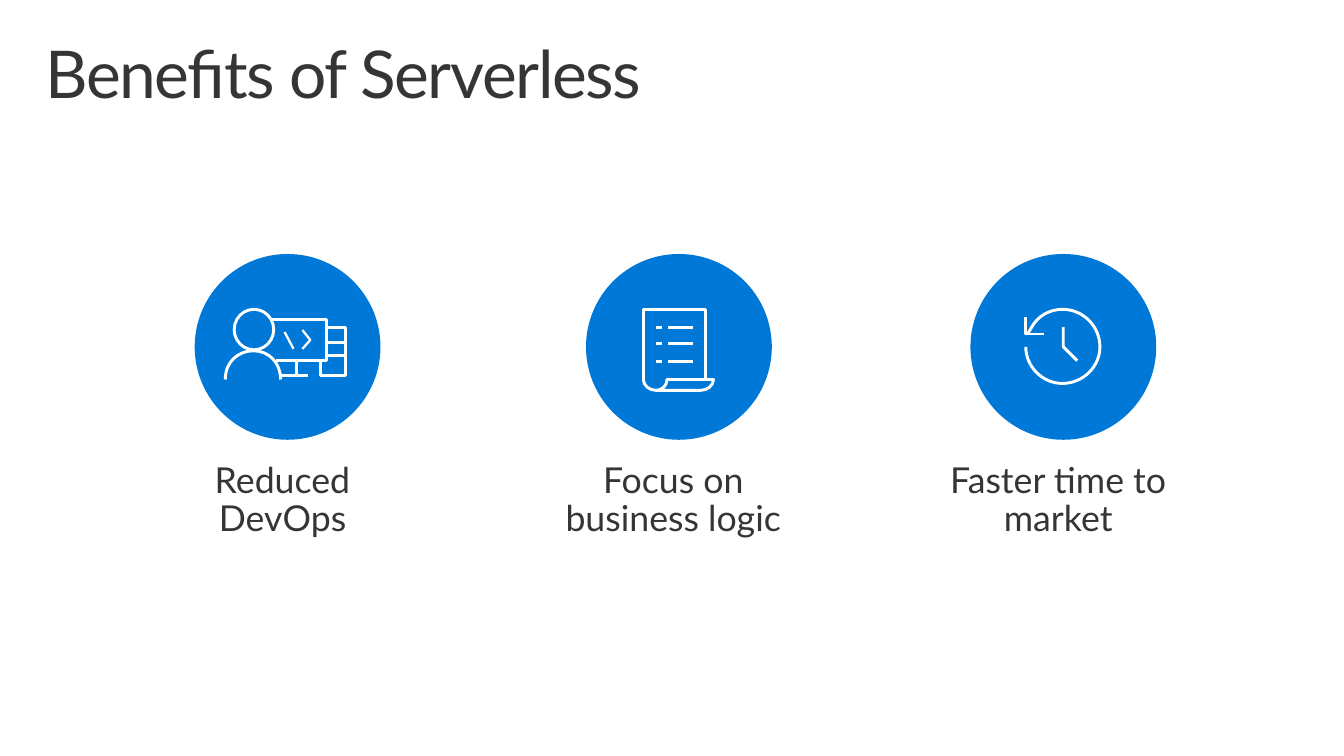
from lxml.etree import SubElement
from pptx import Presentation
from pptx.dml.color import RGBColor
from pptx.enum.shapes import MSO_CONNECTOR, MSO_SHAPE
from pptx.enum.text import MSO_ANCHOR, MSO_AUTO_SIZE, PP_ALIGN
from pptx.oxml.ns import qn
from pptx.util import Inches, Pt

COLORS = {"ink": "353535", "disc": "0078D7", "line": "FFFFFF"}
FONT = "Lato"
THICK, THIN = 2.13, 1.63
TOP, SIZE = 2.57, 1.88
TITLE = "Benefits of Serverless"
HEAD = (2.37, 3.13, 0.4, 0.41)

# A step of two numbers is a corner; a step of six is a curve.
DEVOPS = [
    (THICK, [(2.84, 3.84), (2.84, 3.67, 2.72, 3.55, 2.57, 3.55),
             (2.4, 3.55, 2.28, 3.67, 2.28, 3.84)]),
    (THICK, [(2.79, 3.65), (3.3, 3.65), (3.3, 3.23), (2.74, 3.23)]),
    (THICK, [(3, 3.8), (3, 3.65)]),
    (THICK, [(3.3, 3.31), (3.5, 3.31), (3.5, 3.8), (3.24, 3.8), (3.24, 3.65)]),
    (THICK, [(3.12, 3.8), (2.82, 3.8)]),
    (THICK, [(3.5, 3.47), (3.3, 3.47)]),
    (THICK, [(3.5, 3.6), (3.3, 3.6)]),
    (THIN, [(2.88, 3.36), (2.97, 3.53)]),
    (THIN, [(3.06, 3.34), (3.14, 3.44), (3.06, 3.53)]),
]
SCROLL = [
    (THICK, [(6.51, 3.84), (6.51, 3.9, 6.57, 3.95, 6.64, 3.95),
             (6.7, 3.95, 6.75, 3.9, 6.75, 3.84), (7.22, 3.84),
             (7.22, 3.9, 7.16, 3.95, 7.09, 3.95), (6.64, 3.95)]),
    (THICK, [(6.51, 3.85), (6.51, 3.13), (7.14, 3.13), (7.14, 3.84)]),
] + [
    (THICK, [(left, y), (right, y)])
    for left, right in [(6.76, 7.01), (6.64, 6.7)]
    for y in (3.31, 3.48, 3.66)
]
CLOCK = [
    (THICK, [(10.4, 3.37), (10.4, 3.37, 10.41, 3.36, 10.41, 3.36),
             (10.42, 3.34, 10.43, 3.33, 10.44, 3.31),
             (10.5, 3.2, 10.62, 3.13, 10.75, 3.13),
             (10.96, 3.13, 11.13, 3.3, 11.13, 3.51),
             (11.13, 3.71, 10.96, 3.88, 10.75, 3.88),
             (10.55, 3.88, 10.38, 3.71, 10.38, 3.51)]),
    (THICK, [(10.76, 3.31), (10.76, 3.51), (10.9, 3.65)]),
    (THICK, [(10.56, 3.38), (10.38, 3.38), (10.38, 3.21)]),
]
PERKS = [
    ("Focus on business logic", 5.38, 2.97, 5.93, SCROLL),
    ("Faster time to market", 9.39, 2.74, 9.82, CLOCK),
    ("Reduced DevOps", 1.47, 2.88, 1.97, DEVOPS),
]


def color(name):
    return RGBColor.from_string(COLORS[name])


def write(box, text, size, align, insets, after=0, track=None):
    frame = box.text_frame
    frame.word_wrap = True
    frame.auto_size = MSO_AUTO_SIZE.NONE
    frame.vertical_anchor = MSO_ANCHOR.TOP
    left, top, right, low = map(Inches, insets)
    frame.margin_left, frame.margin_top = left, top
    frame.margin_right, frame.margin_bottom = right, low
    para = frame.paragraphs[0]
    para.alignment = align
    para.line_spacing = 0.9
    para.space_before = Pt(0)
    para.space_after = Pt(after)
    run = para.add_run()
    run.text = text
    run.font.name = FONT
    run.font.size = Pt(size)
    run.font.color.rgb = color("ink")
    if track:
        run.font._element.set("spc", str(track))


def ink(mark, width):
    mark.line.color.rgb = color("line")
    mark.line.width = Pt(width)


def bend(mark, steps):
    corners = list(mark._element.iter(qn("a:lnTo")))
    for corner, step in zip(corners, steps[1:]):
        if len(step) == 6:
            corner.tag = qn("a:cubicBezTo")
            for at, i in enumerate((0, 2)):
                point = corner.makeelement(qn("a:pt"), {
                    "x": str(Inches(step[i]) - mark.left),
                    "y": str(Inches(step[i + 1]) - mark.top)})
                corner.insert(at, point)


def stroke(shapes, width, steps):
    dots = [(Inches(step[-2]), Inches(step[-1])) for step in steps]
    if len(dots) == 2:
        mark = shapes.add_connector(MSO_CONNECTOR.STRAIGHT, *dots[0], *dots[1])
        SubElement(mark._element.spPr, qn("a:effectLst"))
    else:
        trace = shapes.build_freeform(*dots[0], scale=1.0)
        trace.add_line_segments(dots[1:], close=False)
        mark = trace.convert_to_shape()
        mark.fill.background()
        mark.shadow.inherit = False
        bend(mark, steps)
    ink(mark, width)


def oval(shapes, place):
    mark = shapes.add_shape(MSO_SHAPE.OVAL, *map(Inches, place))
    mark.shadow.inherit = False
    return mark


def icon(slide, left, strokes):
    shapes = slide.shapes.add_group_shape().shapes
    disc = oval(shapes, (left, TOP, SIZE, SIZE))
    disc.fill.solid()
    disc.fill.fore_color.rgb = color("disc")
    disc.line.fill.background()
    if strokes is DEVOPS:
        head = oval(shapes, HEAD)
        head.fill.background()
        ink(head, THICK)
    for width, steps in strokes:
        stroke(shapes, width, steps)


def main():
    deck = Presentation()
    deck.slide_width, deck.slide_height = Inches(13.6), Inches(7.65)
    slide = deck.slides.add_slide(deck.slide_layouts[5])
    title = slide.shapes.title
    title.left, title.top = Inches(0.3), Inches(0.32)
    title.width, title.height = Inches(13), Inches(1)
    write(title, TITLE, 48, PP_ALIGN.LEFT, (0.16, 0.1, 0.16, 0.1), track=-100)
    for text, left, width, disc, strokes in PERKS:
        box = slide.shapes.add_textbox(
            Inches(left), Inches(4.52), Inches(width), Inches(1.13))
        write(box, text, 26, PP_ALIGN.CENTER, (0.1, 0.16, 0.2, 0.16), after=12.2)
        icon(slide, disc, strokes)
    deck.save("out.pptx")


if __name__ == "__main__":
    main()
